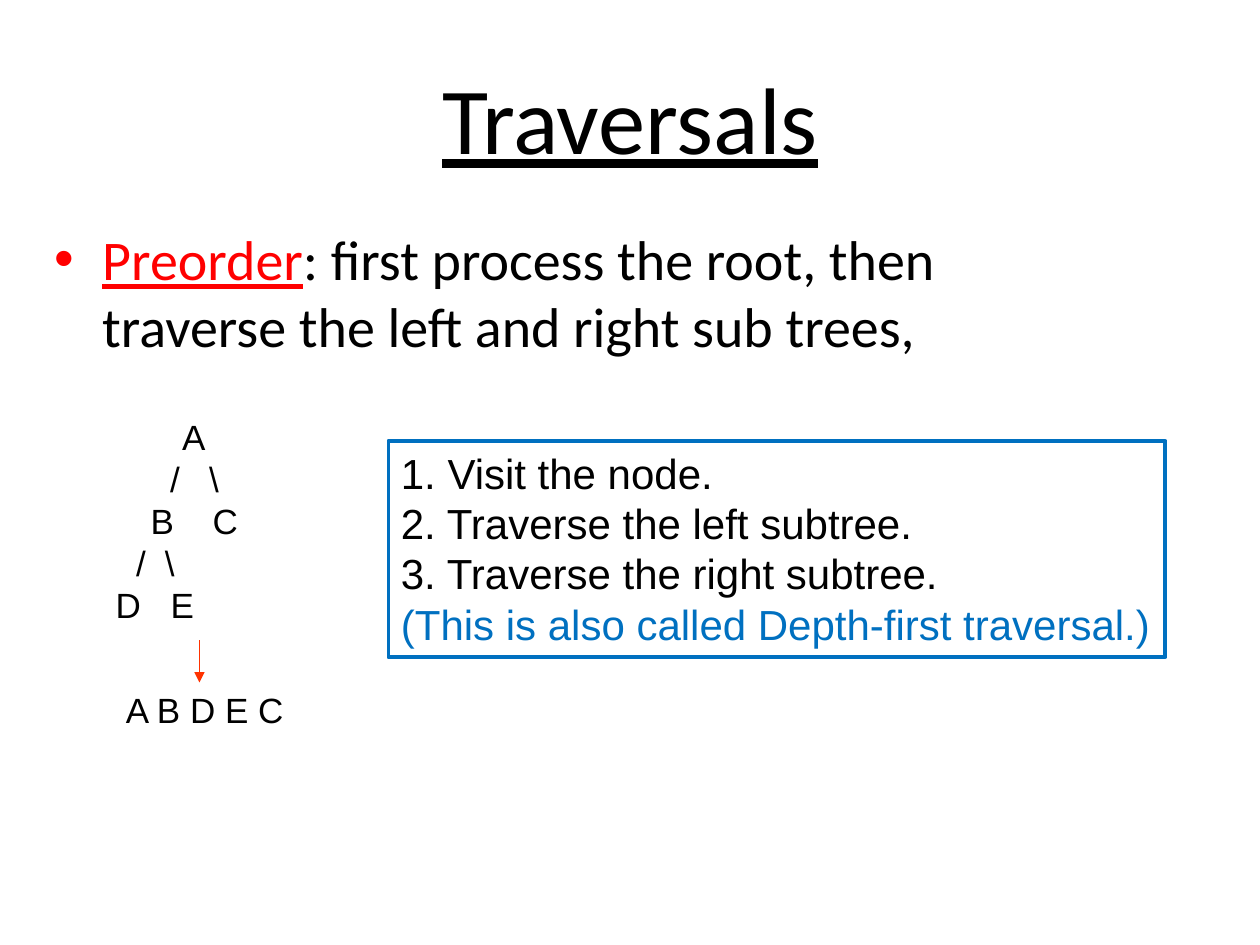
"""Builds a slide that explains preorder traversal of a binary tree."""
from collections import namedtuple

from lxml import etree
from pptx import Presentation, util as u
from pptx.dml.color import RGBColor
from pptx.enum import shapes, text
from pptx.oxml.ns import qn

BLACK = RGBColor(0x00, 0x00, 0x00)
RED = RGBColor(0xFF, 0x00, 0x00)
ORANGE = RGBColor(0xFF, 0x33, 0x00)
BLUE = RGBColor(0x00, 0x70, 0xC0)
CELL = u.Inches(1) / 12
Box = namedtuple("Box", "left top width height")

TREE_ROWS = [
    [("A", 0.69)],
    [("/", 0.54), ("\\", 0.85)],
    [("B", 0.44), ("C", 0.94)],
    [("/", 0.27), ("\\", 0.5)],
    [("D", 0.17), ("E", 0.6)],
]
STEPS = ["1. Visit the node.", "2. Traverse the left subtree.", "3. Traverse the right subtree."]


def cells(*counts):
    """Turn counts of grid cells into lengths."""
    return [u.Emu(round(count * CELL)) for count in counts]


def add_run(paragraph, words, size=20, font="Arial", color=BLACK, underline=False):
    """Add formatted words to a paragraph."""
    run = paragraph.add_run()
    run.text = words
    run.font.size = u.Pt(size)
    run.font.name = font
    run.font.color.rgb = color
    run.font.underline = underline


def add_paragraph(frame, align=text.PP_ALIGN.LEFT):
    """Return the first paragraph while it is empty, otherwise a new one."""
    first = frame.paragraphs[0]
    paragraph = frame.add_paragraph() if first.runs else first
    paragraph.alignment = align
    return paragraph


def add_text_frame(parent, box):
    """Add a wrapping text box and return its frame."""
    frame = parent.add_textbox(*cells(*box)).text_frame
    frame.word_wrap = True
    return frame


def set_tabs(paragraph, positions):
    """Give a paragraph centred tab stops, in inches."""
    tabs = etree.SubElement(paragraph._p.get_or_add_pPr(), qn("a:tabLst"))
    for position in positions:
        etree.SubElement(tabs, qn("a:tab"), pos=str(u.Inches(position)), algn="ctr")


def place_title(slide, box):
    """Place the underlined title."""
    title = slide.shapes.title
    title.left, title.top, title.width, title.height = cells(*box)
    title.text_frame.vertical_anchor = text.MSO_ANCHOR.MIDDLE
    paragraph = add_paragraph(title.text_frame, text.PP_ALIGN.CENTER)
    add_run(paragraph, "Traversals", size=54, font="Calibri", underline=True)


def place_definition(slide, box):
    """Place the bulleted definition of preorder."""
    paragraph = add_paragraph(add_text_frame(slide.shapes, box))
    paragraph.space_before = u.Pt(6.4)
    properties = paragraph._p.get_or_add_pPr()
    indent = u.Inches(0.38)
    properties.set("marL", str(indent))
    properties.set("indent", str(-indent))
    etree.SubElement(properties, qn("a:buFont"), typeface="Arial")
    etree.SubElement(properties, qn("a:buChar"), char="•")
    add_run(paragraph, "Preorder", size=32, font="Calibri", color=RED, underline=True)
    add_run(paragraph, ": first process the root, then traverse the left and right sub trees,",
            size=32, font="Calibri")


def add_arrow(parent, left, top, length):
    """Add a thin arrow that points down."""
    arrow = parent.add_connector(shapes.MSO_CONNECTOR.STRAIGHT,
                                 *cells(left, top, left, top + length))
    arrow.line.color.rgb = ORANGE
    arrow.line.width = u.Pt(0.75)
    etree.SubElement(arrow.line._get_or_add_ln(), qn("a:tailEnd"), type="triangle")
    etree.SubElement(arrow._element.spPr, qn("a:effectLst"))


def place_example(slide, box):
    """Place the example tree, the arrow and the resulting order as one group."""
    group = slide.shapes.add_group_shape().shapes
    arrow_top, result_top = box.top + 22, box.top + 26
    add_arrow(group, box.left + box.width / 2, arrow_top, result_top - arrow_top)
    tree = add_text_frame(group, Box(box.left, box.top, box.width - 1, 21.2))
    for row in TREE_ROWS:
        paragraph = add_paragraph(tree)
        set_tabs(paragraph, [position for _, position in row])
        add_run(paragraph, "".join("\t" + label for label, _ in row))
    result = add_text_frame(group, Box(box.left + 1, result_top, box.width - 1, 5.2))
    add_run(add_paragraph(result, text.PP_ALIGN.CENTER), "A B D E C")


def place_steps(slide, box):
    """Place the framed list of steps."""
    shape = slide.shapes.add_shape(shapes.MSO_SHAPE.RECTANGLE, *cells(*box))
    shape.shadow.inherit = False
    shape.fill.background()
    shape.line.color.rgb = BLUE
    shape.line.width = u.Pt(2.25)
    frame = shape.text_frame
    frame.word_wrap = True
    frame.vertical_anchor = text.MSO_ANCHOR.TOP
    for step in STEPS:
        add_run(add_paragraph(frame), step, size=24)
    add_run(add_paragraph(frame), "(This is also called Depth-first traversal.)",
            size=24, color=BLUE)


def main():
    """Build and save the presentation."""
    presentation = Presentation()
    presentation.slide_width, presentation.slide_height = cells(120, 90)
    slide = presentation.slides.add_slide(presentation.slide_layouts.get_by_name("Title Only"))
    place_title(slide, Box(6, 3.6, 108, 15))
    place_definition(slide, Box(4, 20.8, 101.3, 15))
    place_example(slide, Box(9, 39, 20, 31.2))
    place_steps(slide, Box(37, 42, 74, 20.6))
    presentation.save("out.pptx")


if __name__ == "__main__":
    main()
